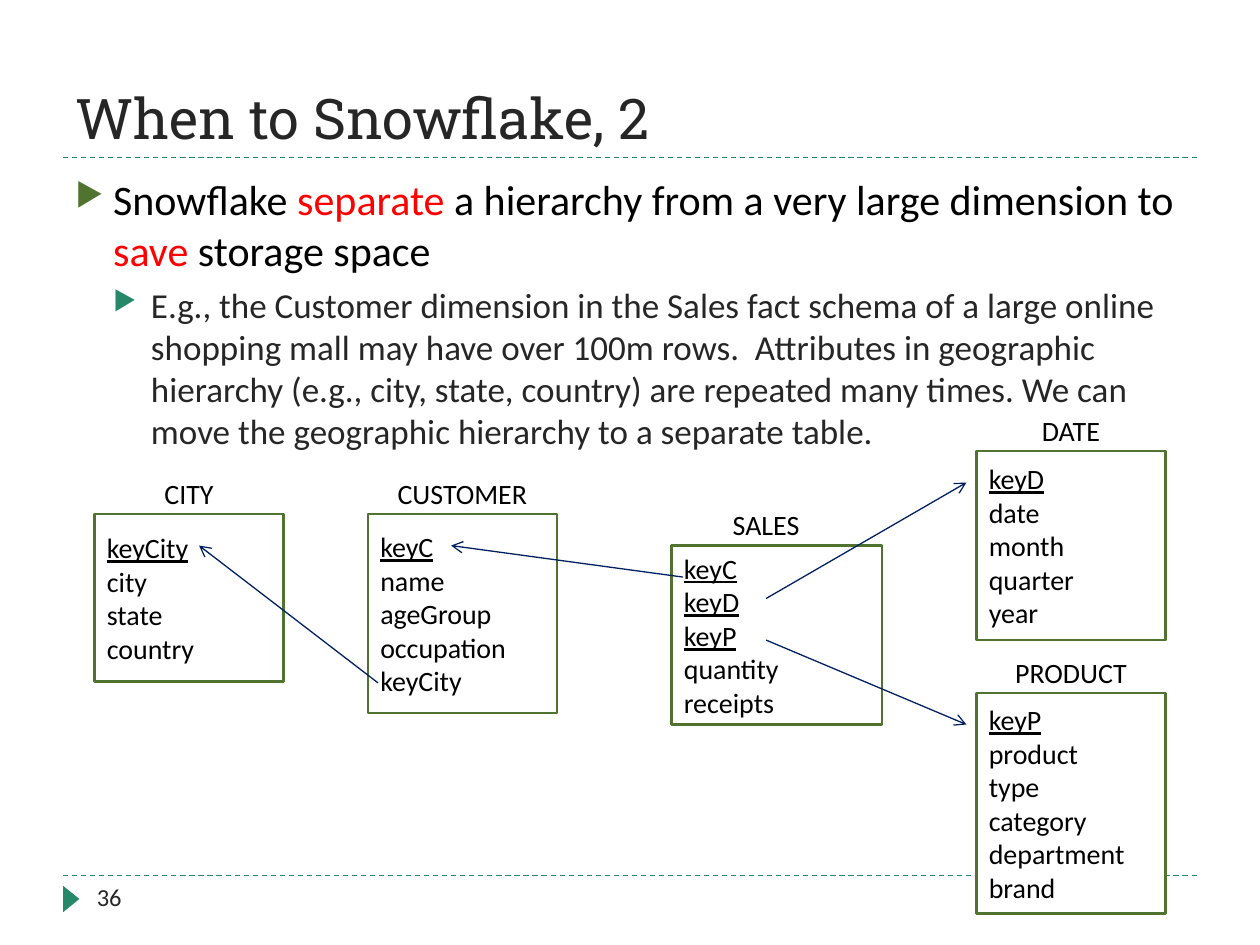
"""Build a slide on when to snowflake a star schema."""
from lxml import etree
from pptx import Presentation
from pptx.dml.color import RGBColor
from pptx.enum.dml import MSO_LINE
from pptx.enum.shapes import MSO_CONNECTOR, MSO_SHAPE
from pptx.enum.text import MSO_ANCHOR, PP_ALIGN
from pptx.oxml.ns import qn
from pptx.util import Inches, Pt

DASH = MSO_LINE.DASH
STRAIGHT = MSO_CONNECTOR.STRAIGHT
RECT, TRIANGLE = MSO_SHAPE.RECTANGLE, MSO_SHAPE.ISOSCELES_TRIANGLE
TOP, MIDDLE, BOTTOM = MSO_ANCHOR.TOP, MSO_ANCHOR.MIDDLE, MSO_ANCHOR.BOTTOM
LEFT, CENTER = PP_ALIGN.LEFT, PP_ALIGN.CENTER

COLORS = {
    "black": "000000", "dark": "262626", "red": "FF0000", "white": "FFFFFF",
    "green": "50742F", "teal": "268868", "navy": "002060",
}
LABEL = 0.33

TABLES = [
    ("SALES", 5.33, 4, 1.67, 1.42, 3,
     ["keyC", "keyD", "keyP", "quantity", "receipts"]),
    ("CUSTOMER", 2.92, 3.75, 1.5, 1.58, 1,
     ["keyC", "name", "ageGroup", "occupation", "keyCity"]),
    ("DATE", 7.75, 3.25, 1.5, 1.5, 1,
     ["keyD", "date", "month", "quarter", "year"]),
    ("PRODUCT", 7.75, 5.17, 1.5, 1.75, 1,
     ["keyP", "product", "type", "category", "department", "brand"]),
    ("CITY", 0.75, 3.75, 1.5, 1.33, 1,
     ["keyCity", "city", "state", "country"]),
]
LINKS = [
    ((5.42, 4.58), (3.58, 4.33)),
    ((6.08, 4.75), (7.67, 3.83)),
    ((6.08, 5.08), (7.67, 5.75)),
    ((3, 5.42), (1.58, 4.33)),
]
POINT = [("Snowflake ", "black"), ("separate", "red"),
         (" a hierarchy from a very large dimension to ", "black"),
         ("save", "red"), (" storage space", "black")]
CASE = (
    "E.g., the Customer dimension in the Sales fact schema of a large online "
    "shopping mall may have over 100m rows.  Attributes in geographic "
    "hierarchy (e.g., city, state, country) are repeated many times. We can "
    "move the geographic hierarchy to a separate table.")


def rgb(name):
    """Return the named colour."""
    return RGBColor.from_string(COLORS[name])


def write(para, text, size=16, color="black", font="Calibri",
          align=LEFT, under=False):
    """Add one formatted run to a paragraph."""
    para.alignment = align
    run = para.add_run()
    run.text = text
    run.font.size = Pt(size)
    run.font.name = font
    run.font.color.rgb = rgb(color)
    run.font.underline = under


def frame(shape, anchor):
    """Make the text frame wrap and return it."""
    text = shape.text_frame
    text.word_wrap = True
    text.vertical_anchor = anchor
    return text


def area(slide, *box):
    """Add a text box and return its frame."""
    return frame(slide.shapes.add_textbox(*map(Inches, box)), TOP)


def bullet(para, color, level):
    """Give a paragraph a triangle bullet with a hanging indent."""
    para.level = level
    props = para._p.get_or_add_pPr()
    props.set("marL", str(Inches(0.3 * (level + 1))))
    props.set("indent", str(Inches(-0.3)))
    tint = etree.SubElement(props, qn("a:buClr"))
    etree.SubElement(tint, qn("a:srgbClr"), val=COLORS[color])
    etree.SubElement(props, qn("a:buSzPct"), val="76000")
    etree.SubElement(props, qn("a:buChar"), char="▶")


def block(slide, kind, box, fill, edge=None):
    """Add a filled shape, with an outline if asked."""
    shape = slide.shapes.add_shape(kind, *map(Inches, box))
    shape.shadow.inherit = False
    shape.fill.solid()
    shape.fill.fore_color.rgb = rgb(fill)
    if edge:
        shape.line.color.rgb = rgb(edge)
        shape.line.width = Pt(1.5)
    else:
        shape.line.fill.background()
    return shape


def link(slide, start, end, color):
    """Add a thin straight line."""
    line = slide.shapes.add_connector(STRAIGHT, *map(Inches, start + end))
    line.line.color.rgb = rgb(color)
    line.line.width = Pt(0.75)
    etree.SubElement(line._element.spPr, qn("a:effectLst"))
    return line


def rule(slide, y):
    """Add a dashed line across the slide."""
    link(slide, (0.5, y), (9.5, y), "teal").line.dash_style = DASH


def arrow(slide, start, end):
    """Add a line with an open arrowhead at its end."""
    line = link(slide, start, end, "navy")
    etree.SubElement(line.line._get_or_add_ln(), qn("a:tailEnd"), type="arrow")


def table(slide, name, x, y, width, height, keys, fields):
    """Draw a schema table with its name above and its keys underlined."""
    label = block(slide, RECT, (x, y, 1.5, LABEL), "white")
    write(frame(label, MIDDLE).paragraphs[0], name, align=CENTER)
    body = block(slide, RECT, (x, y + LABEL, width, height), "white", "green")
    text = frame(body, MIDDLE)
    for i, field in enumerate(fields):
        para = text.add_paragraph() if i else text.paragraphs[0]
        write(para, field, under=i < keys)


def head(slide):
    """Place and fill the title."""
    title = slide.shapes.title
    title.left, title.top, title.width, title.height = map(
        Inches, (0.5, 0.17, 9, 1.08))
    write(frame(title, BOTTOM).paragraphs[0], "When to Snowflake, 2",
          size=32, color="dark", font="Roboto Slab")


def points(slide):
    """Write the two bullet points."""
    text = area(slide, 0.5, 1.33, 9, 2.5)
    first, second = text.paragraphs[0], text.add_paragraph()
    bullet(first, "green", 0)
    for words, color in POINT:
        write(first, words, size=24, color=color)
    bullet(second, "teal", 1)
    second.space_before = Pt(5)
    write(second, CASE, size=20, color="dark")


def main():
    """Build and save the slide."""
    deck = Presentation()
    deck.slide_width, deck.slide_height = Inches(10), Inches(7.5)
    slide = deck.slides.add_slide(deck.slide_layouts[5])
    for y in (6.95, 1.25):
        rule(slide, y)
    block(slide, TRIANGLE, (0.46, 7.07, 0.21, 0.13), "teal").rotation = 90
    head(slide)
    number = area(slide, 0.67, 6.95, 2.17, 0.4)
    write(number.paragraphs[0], "36", size=14, color="dark")
    points(slide)
    for item in TABLES:
        table(slide, *item)
    for start, end in LINKS:
        arrow(slide, start, end)
    deck.save("out.pptx")


if __name__ == "__main__":
    main()
